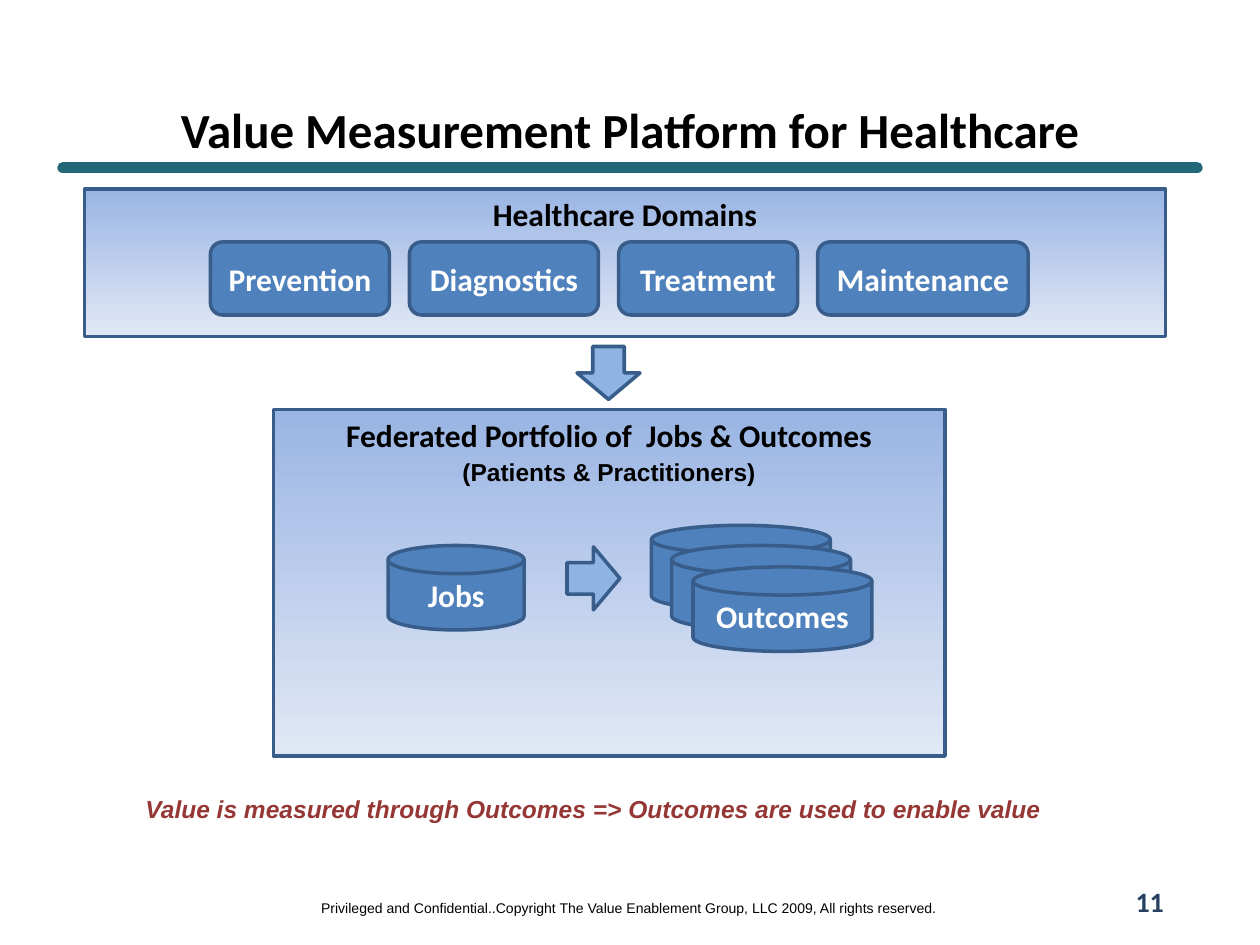
from pptx import Presentation
from pptx.dml.color import RGBColor
from pptx.enum.shapes import MSO_CONNECTOR, MSO_SHAPE
from pptx.enum.text import MSO_ANCHOR, PP_ALIGN
from pptx.oxml.ns import qn
from pptx.util import Inches, Pt
from lxml.etree import SubElement

color = RGBColor.from_string


def write(box, text, size, ink, font="Calibri", italic=False,
          anchor=MSO_ANCHOR.MIDDLE, wrap=True):
    frame = box.text_frame
    frame.word_wrap = wrap
    frame.vertical_anchor = anchor
    para = frame.paragraphs[0]
    para.alignment = PP_ALIGN.CENTER
    span = para.add_run()
    span.text = text
    span.font.name = font
    span.font.size = Pt(size)
    span.font.bold = size > 8
    span.font.italic = italic
    span.font.color.rgb = color(ink)


def add_block(kind, left, top, width, height, fill=None):
    """Add an outlined shape; without a fill colour it gets the panel gradient."""
    block = page.shapes.add_shape(
        kind, Inches(left), Inches(top), Inches(width), Inches(height))
    block.shadow.inherit = False
    if fill:
        block.fill.solid()
        block.fill.fore_color.rgb = color(fill)
    else:
        block.fill.gradient()
        block.fill.gradient_angle = 270
        for stop, shade in zip(block.fill.gradient_stops, ("9AB5E4", "E1E8F5")):
            stop.color.rgb = color(shade)
    block.line.color.rgb = color("385D8A")
    block.line.width = Pt(2)
    return block


deck = Presentation()
deck.slide_width = Inches(10)
deck.slide_height = Inches(7.5)
page = deck.slides.add_slide(deck.slide_layouts[6])

# Rule under the title, with round ends
rule = page.shapes.add_connector(
    MSO_CONNECTOR.STRAIGHT, Inches(0.5), Inches(1.33), Inches(9.5), Inches(1.33))
rule.line.color.rgb = color("216778")
rule.line.width = Pt(6.5)
rule.line._get_or_add_ln().set("cap", "rnd")
SubElement(rule._element.spPr, qn("a:effectLst"))

# Portfolio panel
portfolio = add_block(MSO_SHAPE.FLOWCHART_PROCESS, 2.17, 3.25, 5.33, 2.75)
write(portfolio, "Federated Portfolio of  Jobs & Outcomes", 18, "000000",
      anchor=MSO_ANCHOR.TOP)

# Stacked outcome stores, the front one labelled, and the jobs store
for left, top in ((5.17, 4.17), (5.33, 4.33), (5.5, 4.5)):
    outcomes = add_block(
        MSO_SHAPE.FLOWCHART_MAGNETIC_DISK, left, top, 1.42, 0.67, "4F81BD")
write(outcomes, "Outcomes", 18, "FFFFFF")
jobs = add_block(MSO_SHAPE.FLOWCHART_MAGNETIC_DISK, 3.08, 4.33, 1.08, 0.67, "4F81BD")
write(jobs, "Jobs", 18, "FFFFFF")

# Domains panel with its row of evenly spaced domains
domains = add_block(MSO_SHAPE.FLOWCHART_PROCESS, 0.67, 1.5, 8.58, 1.17)
write(domains, "Healthcare Domains", 18, "000000", anchor=MSO_ANCHOR.TOP)
left = 1.67
for name, width in (("Prevention", 1.42), ("Diagnostics", 1.5),
                    ("Treatment", 1.42), ("Maintenance", 1.67)):
    domain = add_block(
        MSO_SHAPE.ROUNDED_RECTANGLE, left, 1.92, width, 0.58, "4F81BD")
    write(domain, name, 18, "FFFFFF")
    left += width + 0.16

# Arrows: domains to portfolio, jobs to outcomes
for left, top, turn in ((4.58, 2.75, 0), (4.46, 4.38, 270)):
    arrow = add_block(MSO_SHAPE.DOWN_ARROW, left, top, 0.5, 0.42, "8EB4E3")
    arrow.rotation = turn

# Title, subtitle, conclusion, page number and footer
top_anchor = {"font": "Arial", "anchor": MSO_ANCHOR.TOP}
for place, text, size, ink, options in (
    ((0.5, 0.83, 9, 0.38), "Value Measurement Platform for Healthcare",
     28, "000000", {}),
    ((3.42, 3.58, 2.83, 0.34), "(Patients & Practitioners)",
     14, "000000", top_anchor),
    ((0.92, 6.25, 7.58, 0.34),
     "Value is measured through Outcomes => Outcomes are used to enable value",
     14, "953735", {**top_anchor, "italic": True}),
    ((8.75, 6.95, 0.75, 0.4), "11", 16, "254061", {}),
    ((2.44, 7.09, 5.11, 0.24),
     "Privileged and Confidential..Copyright The Value Enablement Group, "
     "LLC 2009, All rights reserved.",
     8, "000000", {**top_anchor, "wrap": False}),
):
    box = page.shapes.add_textbox(*(Inches(length) for length in place))
    write(box, text, size, ink, **options)

deck.save("out.pptx")
